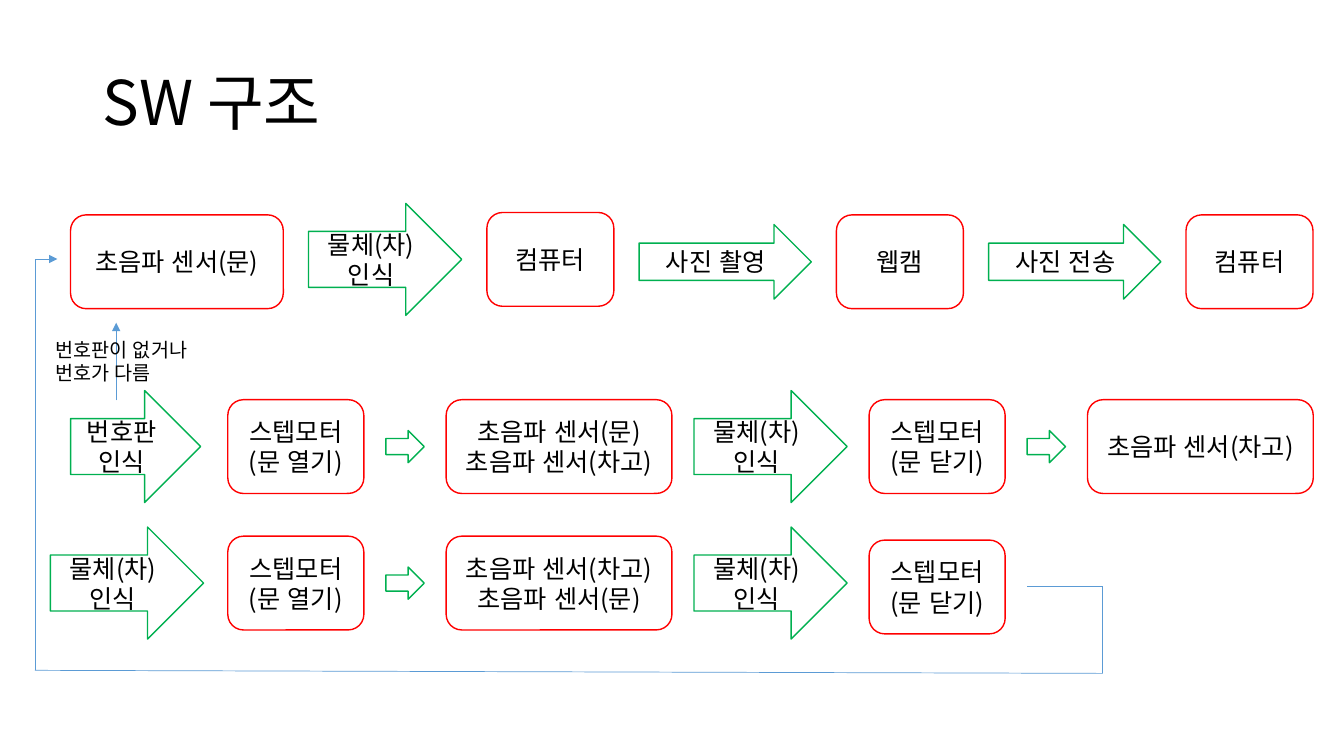
"""Build the SW structure flow slide."""
from dataclasses import dataclass

from lxml import etree
from pptx import Presentation
from pptx.dml.color import RGBColor
from pptx.enum.lang import MSO_LANGUAGE_ID
from pptx.enum.shapes import MSO_CONNECTOR, MSO_SHAPE
from pptx.enum.text import MSO_ANCHOR, MSO_AUTO_SIZE, PP_ALIGN
from pptx.oxml.ns import qn
from pptx.util import Pt

FONT = "Noto Sans CJK KR"
RED, GREEN, BLUE, BLACK = "FF0000", "00B050", "5B9BD5", "000000"


@dataclass(frozen=True)
class Kind:
    """Outline and size shared by a group of steps."""
    preset: MSO_SHAPE
    color: str
    width: float
    height: float


@dataclass(frozen=True)
class Step:
    """One step of the flow, with an optional vertical shift."""
    kind: Kind
    text: str = ""
    dy: float = 0


@dataclass(frozen=True)
class Row:
    """Steps laid from left to right on one centre line."""
    left: float
    center: float
    gap: float
    steps: tuple[Step, ...]


@dataclass(frozen=True)
class Link:
    """A thin line, with an arrowhead at its end if asked."""
    x1: float
    y1: float
    x2: float
    y2: float
    arrow: bool = False


def box(width: float) -> Kind:
    """Return a red rounded box of the given width."""
    return Kind(MSO_SHAPE.ROUNDED_RECTANGLE, RED, width, 67)


def arrow(width: float, height: float) -> Kind:
    """Return a green block arrow of the given size."""
    return Kind(MSO_SHAPE.RIGHT_ARROW, GREEN, width, height)


SENSOR, DEVICE, MOTOR, GARAGE = box(152), box(90.7), box(97.2), box(161.3)
DETECT, PLATE = arrow(109.4, 80), arrow(92.9, 80)
PHOTO, NEXT = arrow(123, 53.3), arrow(27.4, 23)

OBJECT = "물체(차)\n인식"
OPEN, CLOSE = "스텝모터\n(문 열기)", "스텝모터\n(문 닫기)"

ROWS = (
    Row(50.4, 187, 18, (
        Step(SENSOR, "초음파 센서(문)"), Step(DETECT, OBJECT, -1.7),
        Step(DEVICE, "컴퓨터", -1.7), Step(PHOTO, "사진 촬영"),
        Step(DEVICE, "웹캠"), Step(PHOTO, "사진 전송"),
        Step(DEVICE, "컴퓨터"))),
    Row(50.4, 319, 0, (Step(PLATE, "번호판 인식"),)),
    Row(162.7, 319, 15.7, (
        Step(MOTOR, OPEN), Step(NEXT),
        Step(GARAGE, "초음파 센서(문)초음파 센서(차고)"),
        Step(DETECT, OBJECT), Step(MOTOR, CLOSE), Step(NEXT),
        Step(GARAGE, "초음파 센서(차고)"))),
    Row(36, 416.5, 0, (Step(DETECT, OBJECT),)),
    Row(162.7, 416.5, 15.7, (
        Step(MOTOR, OPEN), Step(NEXT),
        Step(GARAGE, "초음파 센서(차고)\n초음파 센서(문)"),
        Step(DETECT, OBJECT), Step(MOTOR, CLOSE, 2.8))),
)

LINKS = (
    Link(83, 286, 83, 230.5, True),
    Link(733.7, 419, 787.7, 419),
    Link(787.7, 419, 787.7, 481),
    Link(25, 478.8, 787.7, 481),
    Link(25, 478.8, 25, 185),
    Link(25, 185, 41, 185, True),
)


def rgb(value: str) -> RGBColor:
    """Turn a hex string into a colour."""
    return RGBColor.from_string(value)


def apply(target, **values) -> None:
    """Set every given attribute on the target."""
    for name, value in values.items():
        setattr(target, name, value)


def write(tf, text: str, size: float, align: PP_ALIGN, anchor: MSO_ANCHOR, spacing: float = 1) -> None:
    """Fill a text frame with formatted paragraphs."""
    apply(tf, word_wrap=True, vertical_anchor=anchor, auto_size=MSO_AUTO_SIZE.NONE)
    tf.text = text
    for p in tf.paragraphs:
        apply(p, alignment=align, line_spacing=spacing)
        for r in p.runs:
            apply(r.font, name=FONT, size=Pt(size), language_id=MSO_LANGUAGE_ID.KOREAN)
            r.font.color.rgb = rgb(BLACK)
            r.font._element.find(qn("a:latin")).addnext(
                etree.Element(qn("a:ea"), typeface=FONT))


def draw_row(s, row: Row) -> None:
    """Draw the steps of a row with equal gaps."""
    left = row.left
    for step in row.steps:
        kind = step.kind
        top = row.center + step.dy - kind.height / 2
        sp = s.shapes.add_shape(kind.preset, Pt(left), Pt(top), Pt(kind.width), Pt(kind.height))
        sp.shadow.inherit = False
        sp.fill.background()
        sp.line.color.rgb = rgb(kind.color)
        sp.line.width = Pt(1)
        if step.text:
            write(sp.text_frame, step.text, 18, PP_ALIGN.CENTER, MSO_ANCHOR.MIDDLE)
        left += kind.width + row.gap


def draw_link(s, link: Link) -> None:
    """Draw one straight connector."""
    cxn = s.shapes.add_connector(
        MSO_CONNECTOR.STRAIGHT, Pt(link.x1), Pt(link.y1), Pt(link.x2), Pt(link.y2))
    cxn.line.color.rgb = rgb(BLUE)
    cxn.line.width = Pt(0.5)
    if link.arrow:
        etree.SubElement(cxn.line._get_or_add_ln(), qn("a:tailEnd"), type="triangle")
    etree.SubElement(cxn._element.spPr, qn("a:effectLst"))


def main() -> None:
    """Build and save the slide."""
    prs = Presentation()
    apply(prs, slide_width=Pt(960), slide_height=Pt(540))
    s = prs.slides.add_slide(prs.slide_layouts[5])
    title = s.shapes.title
    apply(title, left=Pt(66), top=Pt(23), width=Pt(828), height=Pt(104.4))
    write(title.text_frame, "SW 구조", 44, PP_ALIGN.LEFT, MSO_ANCHOR.MIDDLE, 0.9)
    for row in ROWS:
        draw_row(s, row)
    for link in LINKS:
        draw_link(s, link)
    note = s.shapes.add_textbox(Pt(32.4), Pt(237.6), Pt(117.4), Pt(41))
    write(note.text_frame, "번호판이 없거나 번호가 다름", 14, PP_ALIGN.LEFT, MSO_ANCHOR.TOP)
    prs.save("out.pptx")


if __name__ == "__main__":
    main()
